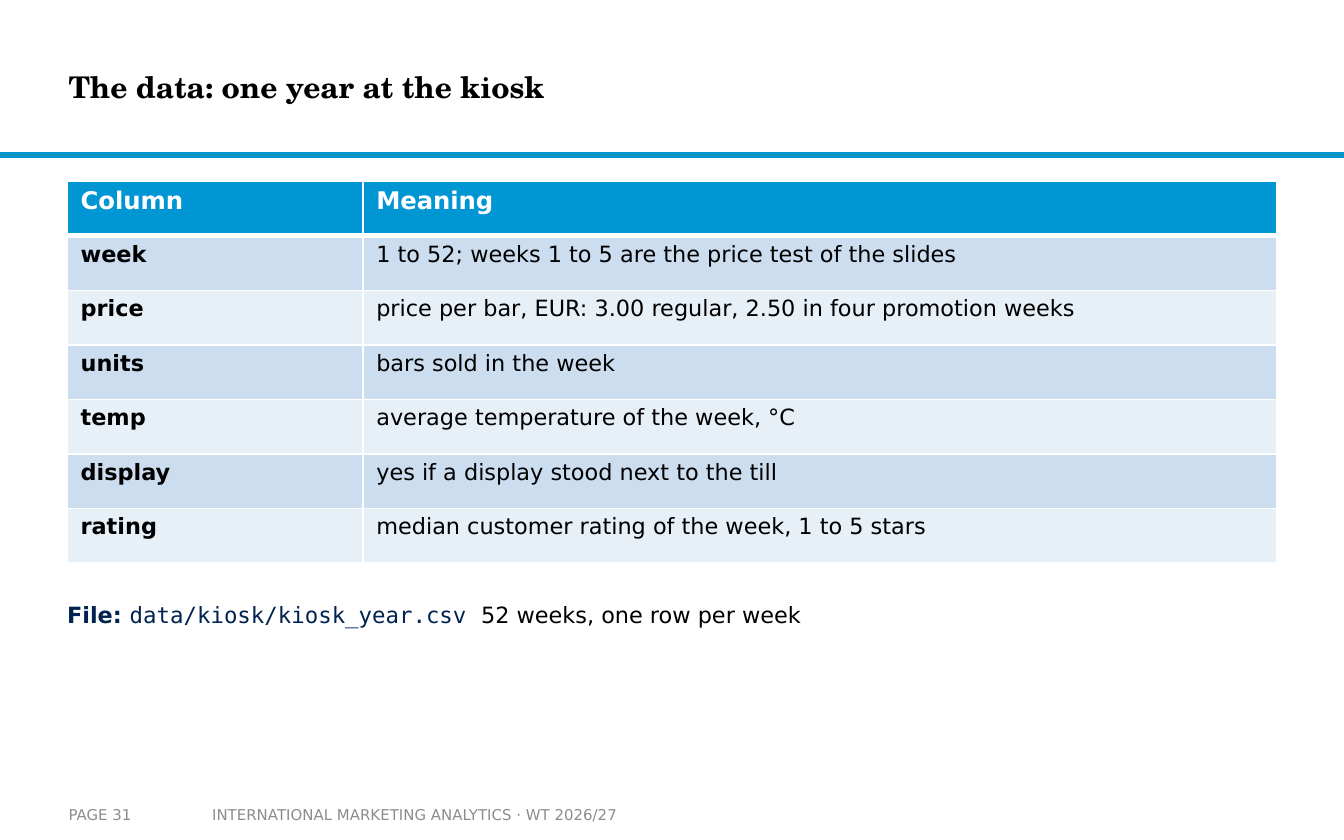
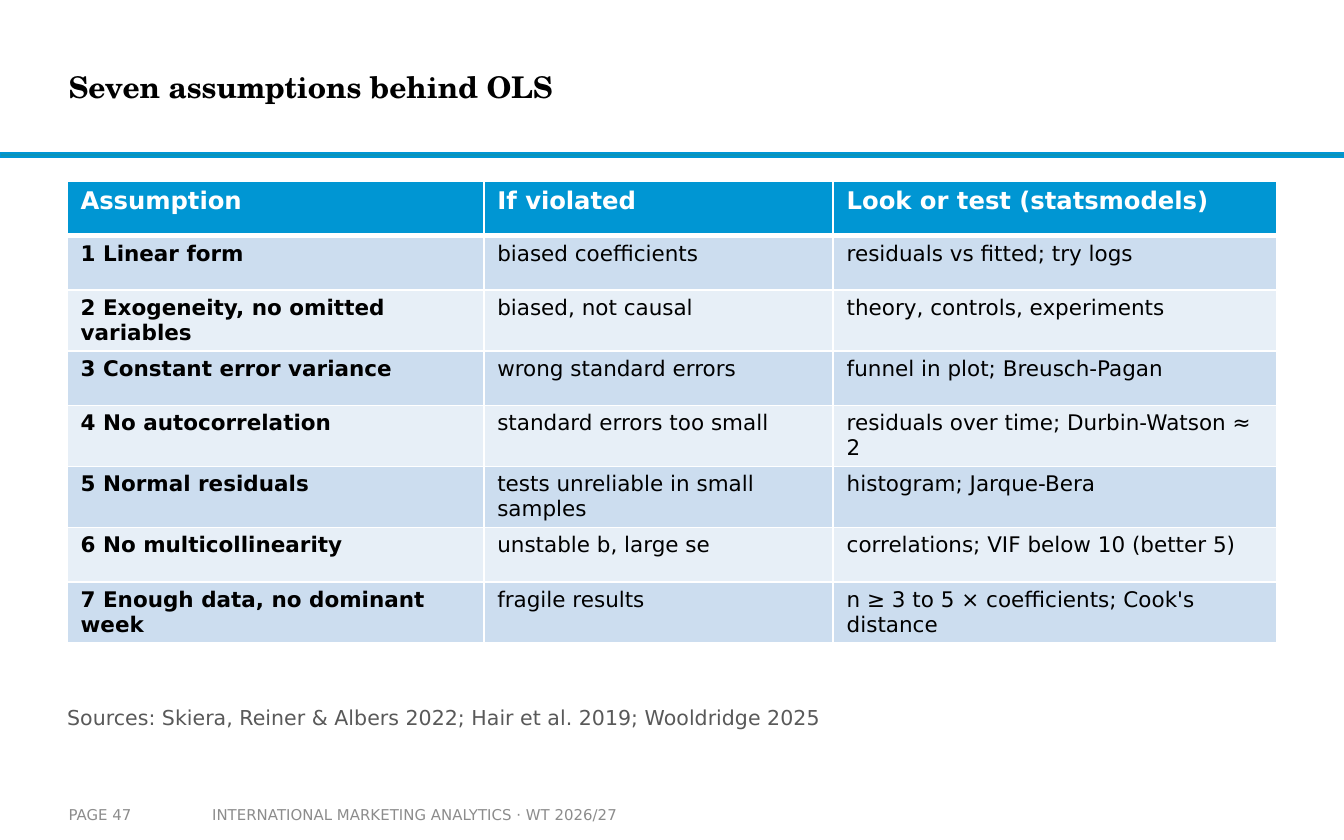
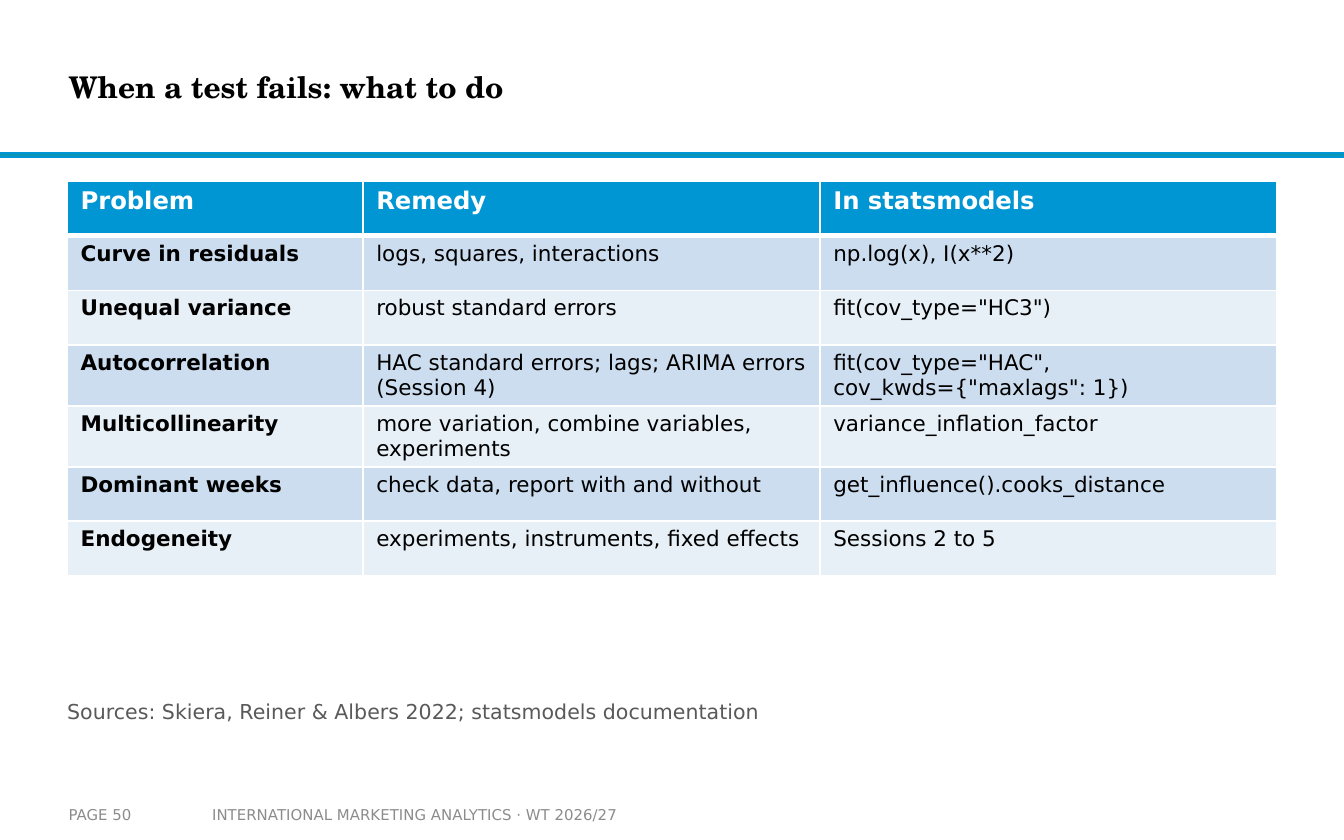
from lxml import etree
from pptx import Presentation
from pptx.dml.color import RGBColor
from pptx.enum.shapes import MSO_SHAPE
from pptx.enum.text import MSO_ANCHOR, MSO_AUTO_SIZE, PP_ALIGN
from pptx.oxml.ns import qn
from pptx.util import Inches, Pt

RECTANGLE = MSO_SHAPE.RECTANGLE
MIDDLE = MSO_ANCHOR.MIDDLE
LEFT = PP_ALIGN.LEFT
NO_AUTOFIT = MSO_AUTO_SIZE.NONE

# Shared look
SANS, MONO, SERIF = "DejaVu Sans", "DejaVu Sans Mono", "TeX Gyre Schola"
BLACK, WHITE, NAVY = "000000", "FFFFFF", "002350"
BLUE, BAND_BLUE = "0096D3", "0C94B7"
ROW_FILLS = ("CCDDEF", "E7EFF7")
FOOTER_GREY, SOURCE_GREY = "8C8C8C", "595959"
COURSE = "INTERNATIONAL MARKETING ANALYTICS · WT 2026/27"
TABLE_LEFT, TABLE_TOP, TABLE_WIDTH = 0.5, 1.35, 9

# Slide contents: the first row of each table is its header
DATA_ROWS = [
    ("Column", "Meaning"),
    ("week", "1 to 52; weeks 1 to 5 are the price test of the slides"),
    ("price", "price per bar, EUR: 3.00 regular, 2.50 in four promotion weeks"),
    ("units", "bars sold in the week"),
    ("temp", "average temperature of the week, °C"),
    ("display", "yes if a display stood next to the till"),
    ("rating", "median customer rating of the week, 1 to 5 stars"),
]
ASSUMPTION_ROWS = [
    ("Assumption", "If violated", "Look or test (statsmodels)"),
    ("1 Linear form", "biased coefficients", "residuals vs fitted; try logs"),
    ("2 Exogeneity, no omitted variables", "biased, not causal",
     "theory, controls, experiments"),
    ("3 Constant error variance", "wrong standard errors",
     "funnel in plot; Breusch-Pagan"),
    ("4 No autocorrelation", "standard errors too small",
     "residuals over time; Durbin-Watson ≈ 2"),
    ("5 Normal residuals", "tests unreliable in small samples",
     "histogram; Jarque-Bera"),
    ("6 No multicollinearity", "unstable b, large se",
     "correlations; VIF below 10 (better 5)"),
    ("7 Enough data, no dominant week", "fragile results",
     "n ≥ 3 to 5 × coefficients; Cook's distance"),
]
REMEDY_ROWS = [
    ("Problem", "Remedy", "In statsmodels"),
    ("Curve in residuals", "logs, squares, interactions", "np.log(x), I(x**2)"),
    ("Unequal variance", "robust standard errors", 'fit(cov_type="HC3")'),
    ("Autocorrelation", "HAC standard errors; lags; ARIMA errors (Session 4)",
     'fit(cov_type="HAC", cov_kwds={"maxlags": 1})'),
    ("Multicollinearity", "more variation, combine variables, experiments",
     "variance_inflation_factor"),
    ("Dominant weeks", "check data, report with and without",
     "get_influence().cooks_distance"),
    ("Endogeneity", "experiments, instruments, fixed effects",
     "Sessions 2 to 5"),
]


def colour(hex_code):
    return RGBColor.from_string(hex_code)


def style_font(font, size, hex_code, name=SANS, bold=False):
    font.size = Pt(size)
    font.name = name
    font.bold = bold
    font.color.rgb = colour(hex_code)


def set_frame(frame, side=0, edge=0):
    frame.word_wrap = True
    frame.auto_size = NO_AUTOFIT
    frame.vertical_anchor = MIDDLE
    frame.margin_left = frame.margin_right = Inches(side)
    frame.margin_top = frame.margin_bottom = Inches(edge)


def add_text(slide, box, text, size, hex_code, side=0, edge=0):
    """Add a one-paragraph text box and return its paragraph."""
    frame = slide.shapes.add_textbox(*map(Inches, box)).text_frame
    set_frame(frame, side, edge)
    paragraph = frame.paragraphs[0]
    paragraph.text = text
    style_font(paragraph.font, size, hex_code)
    return paragraph


# Parts that every slide carries
def add_frame_slide(presentation, title, page):
    slide = presentation.slides.add_slide(presentation.slide_layouts[5])

    band = slide.shapes.add_shape(RECTANGLE, 0, Inches(1.14),
                                  presentation.slide_width, Inches(0.03))
    band.shadow.inherit = False
    band.fill.solid()
    band.fill.fore_color.rgb = colour(BAND_BLUE)
    band.line.color.rgb = colour(BLUE)
    band.line.width = Pt(1)

    heading = slide.shapes.title
    heading.left, heading.top = Inches(0.51), Inches(0.15)
    heading.width, heading.height = Inches(7.48), Inches(0.99)
    set_frame(heading.text_frame)
    paragraph = heading.text_frame.paragraphs[0]
    paragraph.text = title
    paragraph.alignment = LEFT
    style_font(paragraph.font, 16, BLACK, SERIF, bold=True)

    add_text(slide, (1.48, 5.92, 3.52, 0.28), COURSE, 8, FOOTER_GREY, 0.1, 0.05)
    add_text(slide, (0.51, 5.92, 0.98, 0.28), f"PAGE {page}", 8, FOOTER_GREY,
             edge=0.05)
    return slide


# Table
def set_borders(cell, top=1, bottom=1):
    properties = cell._tc.get_or_add_tcPr()
    for tag, width in (("a:lnL", 1), ("a:lnR", 1), ("a:lnT", top), ("a:lnB", bottom)):
        line = etree.SubElement(properties, qn(tag), w=str(Pt(width)))
        fill = etree.SubElement(line, qn("a:solidFill"))
        etree.SubElement(fill, qn("a:srgbClr"), val=WHITE)


def fill_cell(cell, text, row, column, body_size):
    header = row == 0
    cell.margin_left = cell.margin_right = Inches(0.1)
    cell.margin_top = cell.margin_bottom = Inches(0.04)
    set_borders(cell, top=3 if row == 1 else 1, bottom=3 if header else 1)
    cell.fill.solid()
    cell.fill.fore_color.rgb = colour(BLUE if header else ROW_FILLS[(row - 1) % 2])
    paragraph = cell.text_frame.paragraphs[0]
    paragraph.text = text
    style_font(paragraph.font, 13 if header else body_size,
               WHITE if header else BLACK, bold=header or column == 0)


def add_grid(slide, rows, widths, height, body_size):
    table = slide.shapes.add_table(
        len(rows), len(widths), Inches(TABLE_LEFT), Inches(TABLE_TOP),
        Inches(TABLE_WIDTH), Inches(height)).table
    table.first_row = table.horz_banding = False
    for column, width in zip(table.columns, widths):
        column.width = Inches(width)
    for row, texts in enumerate(rows):
        for column, text in enumerate(texts):
            fill_cell(table.cell(row, column), text, row, column, body_size)


# Lines below the tables
def add_sources(slide, top, text):
    paragraph = add_text(slide, (TABLE_LEFT, top, TABLE_WIDTH, 0.28),
                         text, 11, SOURCE_GREY)
    paragraph.space_after = Pt(4)


def add_file_line(slide, top):
    frame = slide.shapes.add_textbox(
        *map(Inches, (TABLE_LEFT, top, TABLE_WIDTH, 0.35))).text_frame
    set_frame(frame)
    paragraph = frame.paragraphs[0]
    paragraph.space_after = Pt(4)
    tabs = etree.SubElement(paragraph._p.get_or_add_pPr(), qn("a:tabLst"))
    etree.SubElement(tabs, qn("a:tab"), pos=str(Inches(3.08)), algn="l")
    for text, hex_code, name, bold in (
            ("File: ", NAVY, SANS, True),
            ("data/kiosk/kiosk_year.csv", NAVY, MONO, False),
            ("\t52 weeks, one row per week", BLACK, SANS, False)):
        run = paragraph.add_run()
        run.text = text
        style_font(run.font, 12, hex_code, name, bold)


def main():
    presentation = Presentation()
    presentation.slide_width = Inches(10)
    presentation.slide_height = Inches(6.25)

    slide = add_frame_slide(presentation, "The data: one year at the kiosk", 31)
    add_grid(slide, DATA_ROWS, (2.2, 6.8), 2.84, 12)
    add_file_line(slide, 4.4)

    slide = add_frame_slide(presentation, "Seven assumptions behind OLS", 47)
    add_grid(slide, ASSUMPTION_ROWS, (3.1, 2.6, 3.3), 3.24, 11.5)
    add_sources(slide, 5.2, "Sources: Skiera, Reiner & Albers 2022; "
                            "Hair et al. 2019; Wooldridge 2025")

    slide = add_frame_slide(presentation, "When a test fails: what to do", 50)
    add_grid(slide, REMEDY_ROWS, (2.2, 3.4, 3.4), 2.84, 11.5)
    add_sources(slide, 5.15, "Sources: Skiera, Reiner & Albers 2022; "
                             "statsmodels documentation")

    presentation.save("out.pptx")


if __name__ == "__main__":
    main()
